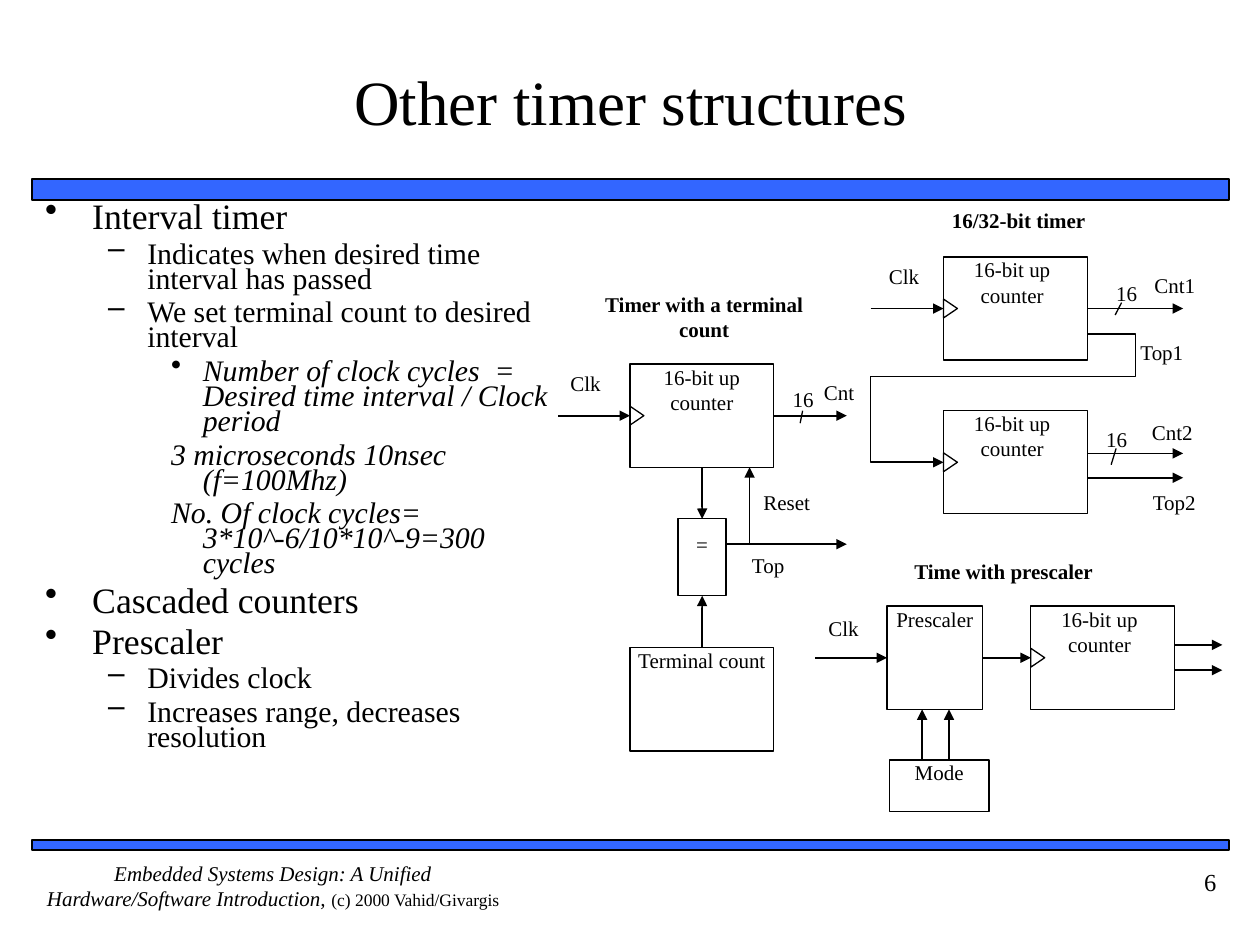
import pptx
import pptx.util
import pptx.dml.color
import pptx.oxml.ns
import pptx.enum.shapes
import pptx.enum.text
from lxml import etree

Cm, Pt, qn = pptx.util.Cm, pptx.util.Pt, pptx.oxml.ns.qn
SHAPE = pptx.enum.shapes.MSO_SHAPE
ANCHOR = pptx.enum.text.MSO_ANCHOR
ALIGN = {"l": pptx.enum.text.PP_ALIGN.LEFT, "c": pptx.enum.text.PP_ALIGN.CENTER,
         "r": pptx.enum.text.PP_ALIGN.RIGHT}
FONT, BLACK, BLUE = "Times New Roman", "000000", "3366FF"
TOP, LEFT, BOTTOM, RIGHT = range(4)

# All lengths are centimetres.
TITLE = "Other timer structures"
FOOTER = [("Embedded Systems Design: A Unified Hardware/Software Introduction, ", 12, True),
          ("(c) 2000 Vahid/Givargis", 10, False)]
BARS = [(3.61, 0.43), (16.94, 0.2)]  # top, height

# level: (left margin, hanging indent, size, space before)
LEVELS = [(0.95, 0.95, 20.4, 6), (2.06, 0.79, 17, 5), (3.18, 0.64, 17, 5)]
BULLETS = [  # level, bullet, text
    (0, "•", "Interval timer"),
    (1, "–", "Indicates when desired time interval has passed"),
    (1, "–", "We set terminal count to desired interval"),
    (2, "•", "Number of clock cycles  = Desired time interval / Clock period"),
    (2, None, "3 microseconds 10nsec (f=100Mhz)"),
    (2, None, "No. Of clock cycles= 3*10^-6/10*10^-9=300 cycles"),
    (0, "•", "Cascaded counters"),
    (0, "•", "Prescaler"),
    (1, "–", "Divides clock"),
    (1, "–", "Increases range, decreases resolution"),
]

COUNTER, W, H = "16-bit up counter", 2.9, 2.08
BOXES = {  # text, left, top, width, height, insets
    "terminal counter": (COUNTER, 12.7, 7.34, W, H, (0, 0, 0, 0)),
    "terminal count": ("Terminal count", 12.7, 13.06, W, H, (0, 0, 0, 0)),
    "equals": ("=", 13.67, 10.46, 0.97, 1.55, (0, 0.25, 0, 0)),
    "low counter": (COUNTER, 19.02, 5.18, W, H, (0, 0, 0.13, 0)),
    "high counter": (COUNTER, 19.02, 8.28, W, H, (0, 0, 0.13, 0)),
    "scaled counter": (COUNTER, 20.78, 12.22, W, H, (0, 0, 0.13, 0)),
    "prescaler": ("Prescaler", 17.88, 12.22, 1.93, H, (0, 0, 0, 0)),
    "mode": ("Mode", 17.93, 15.32, 2.01, 1.04, (0, 0, 0, 0)),
}

# An end is a point or (box name, side).
ARROWS = [
    ((11.25, 8.38), ("terminal counter", LEFT)),
    (("terminal counter", RIGHT), (17.07, 8.38)),
    (("terminal counter", BOTTOM), ("equals", TOP)),
    (("terminal count", TOP), ("equals", BOTTOM)),
    ((14.64, 10.97), (17.07, 10.97)),
    ((15.11, 10.97), (15.11, 9.42)),
    ((17.55, 6.22), ("low counter", LEFT)),
    (("low counter", RIGHT), (23.85, 6.22)),
    ((21.92, 9.14), (23.85, 9.14)),
    ((21.92, 9.63), (23.85, 9.63)),
    ((16.43, 13.26), ("prescaler", LEFT)),
    (("prescaler", RIGHT), ("scaled counter", LEFT)),
    ((23.68, 13.0), (24.64, 13.0)),
    ((23.68, 13.51), (24.64, 13.51)),
    ((18.59, 15.32), (18.59, 14.3)),
    ((19.13, 15.32), (19.13, 14.3)),
]
BUS_SLASHES = [((16.18, 8.28), (16.13, 8.53)), ((22.61, 6.1), (22.48, 6.35)),
               ((22.5, 9.04), (22.4, 9.37))]
CARRY = [(21.92, 6.73), (22.89, 6.73), (22.89, 7.59), (17.55, 7.59), (17.55, 9.32), (19.02, 9.32)]

HEADINGS = [("Timer with a terminal count", 11.96, 5.87, 4.47, 1.04),
            ("16/32-bit timer", 18.59, 4.19, 3.89, 0.79),
            ("Time with prescaler", 17.63, 11.25, 5.21, 0.86)]
CLOCKS = [("Clk", 11.13, 7.47, 1.35, 0.66), ("Clk", 17.5, 5.31, 1.45, 0.84),
          ("Clk", 16.23, 12.4, 1.55, 0.76)]
SIGNALS = [("16", 15.98, 7.8, 0.66, 0.58), ("Cnt", 16.61, 7.65, 1.04, 0.76),
           ("Reset", 15.39, 9.86, 1.93, 0.69), ("Top", 15.16, 11.13, 1.45, 0.61),
           ("16", 22.5, 5.66, 0.69, 0.61), ("Cnt1", 23.27, 5.49, 1.14, 0.71),
           ("Top1", 22.99, 6.84, 1.09, 0.76), ("16", 22.3, 8.59, 0.69, 0.61),
           ("Cnt2", 23.22, 8.46, 1.45, 0.66), ("Top2", 23.24, 9.86, 1.5, 0.86)]

prs = pptx.Presentation()
prs.slide_width, prs.slide_height = Cm(25.4), Cm(19.05)
s = prs.slides.add_slide(prs.slide_layouts[6])


def rgb(value):
    return pptx.dml.color.RGBColor.from_string(value)


def add_run(p, text, size=12, bold=False, italic=False):
    r = p.add_run()
    r.text = text
    f = r.font
    f.name, f.size, f.bold, f.italic = FONT, Pt(size), bold, italic
    f.color.rgb = rgb(BLACK)


def frame(sp, insets=(0, 0, 0, 0), anchor=ANCHOR.TOP):
    tf = sp.text_frame
    tf.word_wrap, tf.vertical_anchor = True, anchor
    tf.margin_left, tf.margin_top, tf.margin_right, tf.margin_bottom = map(Cm, insets)
    return tf


def text_box(text, x, y, w, h, align="l", insets=(0, 0, 0, 0), anchor=ANCHOR.TOP, **fmt):
    p = frame(s.shapes.add_textbox(*map(Cm, (x, y, w, h))), insets, anchor).paragraphs[0]
    p.alignment = ALIGN[align]
    if text:
        add_run(p, text, **fmt)
    return p


def outlined(kind, x, y, w, h, fill=None, width=0.75):
    sp = s.shapes.add_shape(kind, *map(Cm, (x, y, w, h)))
    sp.shadow.inherit = False
    if fill:
        sp.fill.solid()
        sp.fill.fore_color.rgb = rgb(fill)
    else:
        sp.fill.background()
    sp.line.color.rgb, sp.line.width = rgb(BLACK), Pt(width)
    return sp


def add_arrowhead(sp):
    etree.SubElement(sp.line._get_or_add_ln(), qn("a:tailEnd"), type="triangle")


def end_point(end):
    """Resolve a point or the middle of a box side."""
    if end[0] not in BOXES:
        return end
    _, x, y, w, h, _ = BOXES[end[0]]
    return [(x + w / 2, y), (x, y + h / 2), (x + w / 2, y + h), (x + w, y + h / 2)][end[1]]


def connect(start, end, width=1.0, arrow=True):
    c = s.shapes.add_connector(pptx.enum.shapes.MSO_CONNECTOR.STRAIGHT,
                               *map(Cm, (*end_point(start), *end_point(end))))
    if start[0] in boxes:
        c.begin_connect(boxes[start[0]], start[1])
    if end[0] in boxes:
        c.end_connect(boxes[end[0]], end[1])
    c.line.color.rgb, c.line.width = rgb(BLACK), Pt(width)
    if arrow:
        add_arrowhead(c)
    etree.SubElement(c._element.spPr, qn("a:effectLst"))


for top, height in BARS:
    outlined(SHAPE.RECTANGLE, 0.64, top, 24.13, height, BLUE, 1)
text_box(TITLE, 1.07, 0.43, 23.29, 3.18, "c", (0, 0.13, 0, 0.13), ANCHOR.MIDDLE, size=36)
p = text_box("", 0.64, 17.35, 9.73, 1.27, "c")
for text, size, italic in FOOTER:
    add_run(p, text, size, italic=italic)
text_box("6", 22.23, 17.35, 2.54, 1.27, "r", (0.25, 0.13, 0.25, 0.13), size=14)

tf = frame(s.shapes.add_textbox(Cm(0.66), Cm(4.01), Cm(10.9), Cm(12.12)), (0.25, 0.13, 0.25, 0.13))
for i, (level, bullet, text) in enumerate(BULLETS):
    margin, hanging, size, before = LEVELS[level]
    p = tf.add_paragraph() if i else tf.paragraphs[0]
    p.level, p.line_spacing = level, 0.7
    p.space_before = Pt(before if i else 0)
    pPr = p._p.get_or_add_pPr()
    pPr.set("marL", str(Cm(margin)))
    pPr.set("indent", str(-Cm(hanging)))
    if bullet:
        color = etree.SubElement(pPr, qn("a:buClr"))
        etree.SubElement(color, qn("a:srgbClr"), val=BLACK)
        etree.SubElement(pPr, qn("a:buChar"), char=bullet)
    else:
        etree.SubElement(pPr, qn("a:buNone"))
    add_run(p, text, size, italic=level == 2)

boxes = {}
for name, (text, x, y, w, h, insets) in BOXES.items():
    boxes[name] = outlined(SHAPE.RECTANGLE, x, y, w, h)
    p = frame(boxes[name], insets).paragraphs[0]
    p.alignment = ALIGN["c"]
    add_run(p, text)
    if text == COUNTER:  # clock input mark inside the left side
        outlined(SHAPE.ISOSCELES_TRIANGLE, x - 0.05, y + h / 2 - 0.14, 0.38, 0.28).rotation = 90

for start, end in ARROWS:
    connect(start, end)
for start, end in BUS_SLASHES:
    connect(start, end, 0.75, arrow=False)

points = [(Cm(x), Cm(y)) for x, y in CARRY]
builder = s.shapes.build_freeform(*points[0])
builder.add_line_segments(points[1:], close=False)
carry = builder.convert_to_shape()
carry.shadow.inherit = False
carry.fill.background()
carry.line.color.rgb, carry.line.width = rgb(BLACK), Pt(1)
add_arrowhead(carry)

for heading in HEADINGS:
    text_box(*heading, align="c", bold=True)
for clock in CLOCKS:
    text_box(*clock, align="c")
for signal in SIGNALS:
    text_box(*signal)

prs.save("out.pptx")
